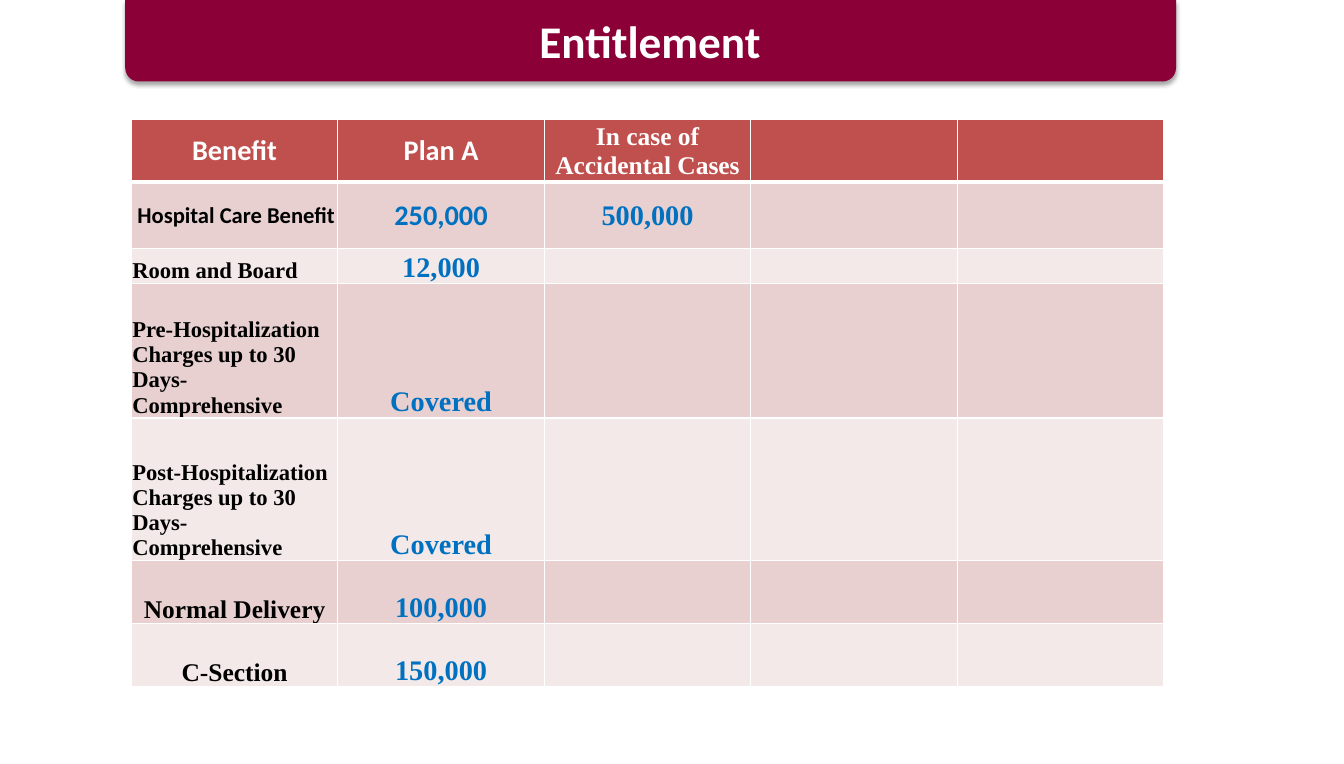
from lxml import etree
from pptx import Presentation
from pptx.dml.color import RGBColor
from pptx.enum.shapes import MSO_SHAPE as Shape
from pptx.enum.text import MSO_ANCHOR as Anchor, PP_ALIGN as Align
from pptx.oxml import parse_xml
from pptx.oxml.ns import nsdecls, qn
from pptx.util import Inches, Pt

MAROON = RGBColor(0x8B, 0x00, 0x36)
BRICK = RGBColor(0xC0, 0x50, 0x4D)
ROSE = RGBColor(0xE8, 0xD0, 0xD0)
BLUSH = RGBColor(0xF4, 0xE9, 0xE9)
BLUE = RGBColor(0x00, 0x70, 0xC0)
BLACK = RGBColor(0x00, 0x00, 0x00)
WHITE = RGBColor(0xFF, 0xFF, 0xFF)

SANS, SERIF = "Calibri", "Times New Roman"
COLUMNS = 5
ROW_HEIGHTS = [0.62, 0.65, 0.31, 1.32, 1.4, 0.62, 0.62]

# Each filled cell: text, font, size
ROWS = [
    [("Benefit", SANS, 20), ("Plan A", SANS, 20),
     ("In case of Accidental Cases", SERIF, 18)],
    [("Hospital Care Benefit", SANS, 16), ("250,000", SANS, 20),
     ("500,000", SERIF, 20)],
    [("Room and Board", SERIF, 16), ("12,000", SERIF, 20)],
    [("Pre-Hospitalization Charges up to 30 Days- Comprehensive", SERIF, 16),
     ("Covered", SERIF, 20)],
    [("Post-Hospitalization Charges up to 30 Days-Comprehensive", SERIF, 16),
     ("Covered", SERIF, 20)],
    [("Normal Delivery", SERIF, 18), ("100,000", SERIF, 20)],
    [("C-Section", SERIF, 18), ("150,000", SERIF, 20)],
]


def style_paragraph(paragraph, font_name, size, color, align):
    paragraph.alignment = align
    font = paragraph.font
    font.name, font.size, font.bold = font_name, Pt(size), True
    font.color.rgb = color


def add_shadow(shape):
    shape.shadow.inherit = False
    effects = shape._element.spPr.find(qn("a:effectLst"))
    effects.append(parse_xml(
        f'<a:outerShdw {nsdecls("a")} blurRad="{Pt(3.1)}" dist="{Pt(1.8)}" '
        'dir="5400000" rotWithShape="0"><a:srgbClr val="000000">'
        '<a:alpha val="35000"/></a:srgbClr></a:outerShdw>'))


def add_banner(slide, left, top, width, height):
    banner = slide.shapes.add_shape(
        Shape.ROUND_2_SAME_RECTANGLE, left, top, width, height)
    banner.rotation = 180
    banner.fill.solid()
    banner.fill.fore_color.rgb = MAROON
    banner.line.fill.background()
    add_shadow(banner)


def add_title(slide, left, top, width, height):
    frame = slide.shapes.add_textbox(left, top, width, height).text_frame
    frame.word_wrap = True
    frame.vertical_anchor = Anchor.MIDDLE
    paragraph = frame.paragraphs[0]
    paragraph.text = "Entitlement"
    paragraph.line_spacing = 0.9
    style_paragraph(paragraph, SANS, 32, WHITE, Align.CENTER)


def add_borders(cell, widths):
    """Draw white cell borders; widths maps each side's tag to points."""
    properties = cell._tc.get_or_add_tcPr()
    for position, (side, width) in enumerate(widths.items()):
        line = etree.Element(qn(f"a:{side}"), w=str(Pt(width)))
        fill = etree.SubElement(line, qn("a:solidFill"))
        etree.SubElement(fill, qn("a:srgbClr"), val=str(WHITE))
        properties.insert(position, line)


def fill_cell(cell, row, column):
    header = row == 0
    cell.fill.solid()
    cell.fill.fore_color.rgb = BRICK if header else ROSE if row % 2 else BLUSH
    add_borders(cell, {"lnL": 1, "lnR": 1, "lnT": 3 if row == 1 else 1,
                       "lnB": 3 if header else 1})
    cell.margin_left = cell.margin_right = cell.margin_top = Inches(0.01)
    cell.margin_bottom = 0
    if column >= len(ROWS[row]):
        return
    cell.vertical_anchor = Anchor.MIDDLE if row < 2 else Anchor.BOTTOM
    text, font_name, size = ROWS[row][column]
    paragraph = cell.text_frame.paragraphs[0]
    paragraph.text = text
    color = WHITE if header else BLUE if column else BLACK
    left_aligned = column == 0 and size == 16
    style_paragraph(paragraph, font_name, size, color,
                    Align.LEFT if left_aligned else Align.CENTER)
    if row == 1 and column == 0:
        cell.margin_left = Inches(0.06)


def add_benefit_table(slide, left, top, width, height):
    table = slide.shapes.add_table(
        len(ROWS), COLUMNS, left, top, width, height).table
    table.horz_banding = False
    for column in table.columns:
        column.width = width // COLUMNS
    for row, share in zip(table.rows, ROW_HEIGHTS):
        row.height = int(height * share / sum(ROW_HEIGHTS))
    for row in range(len(ROWS)):
        for column in range(COLUMNS):
            fill_cell(table.cell(row, column), row, column)


def main():
    presentation = Presentation()
    presentation.slide_width = Inches(13.2)
    presentation.slide_height = Inches(7.5)
    slide = presentation.slides.add_slide(presentation.slide_layouts[6])
    add_banner(slide, Inches(1.23), 0, Inches(10.32), Inches(0.8))
    add_title(slide, Inches(1.14), 0, Inches(10.49), Inches(0.87))
    add_benefit_table(slide, Inches(1.29), Inches(1.17),
                      Inches(10.14), Inches(sum(ROW_HEIGHTS)))
    presentation.save("out.pptx")


if __name__ == "__main__":
    main()
